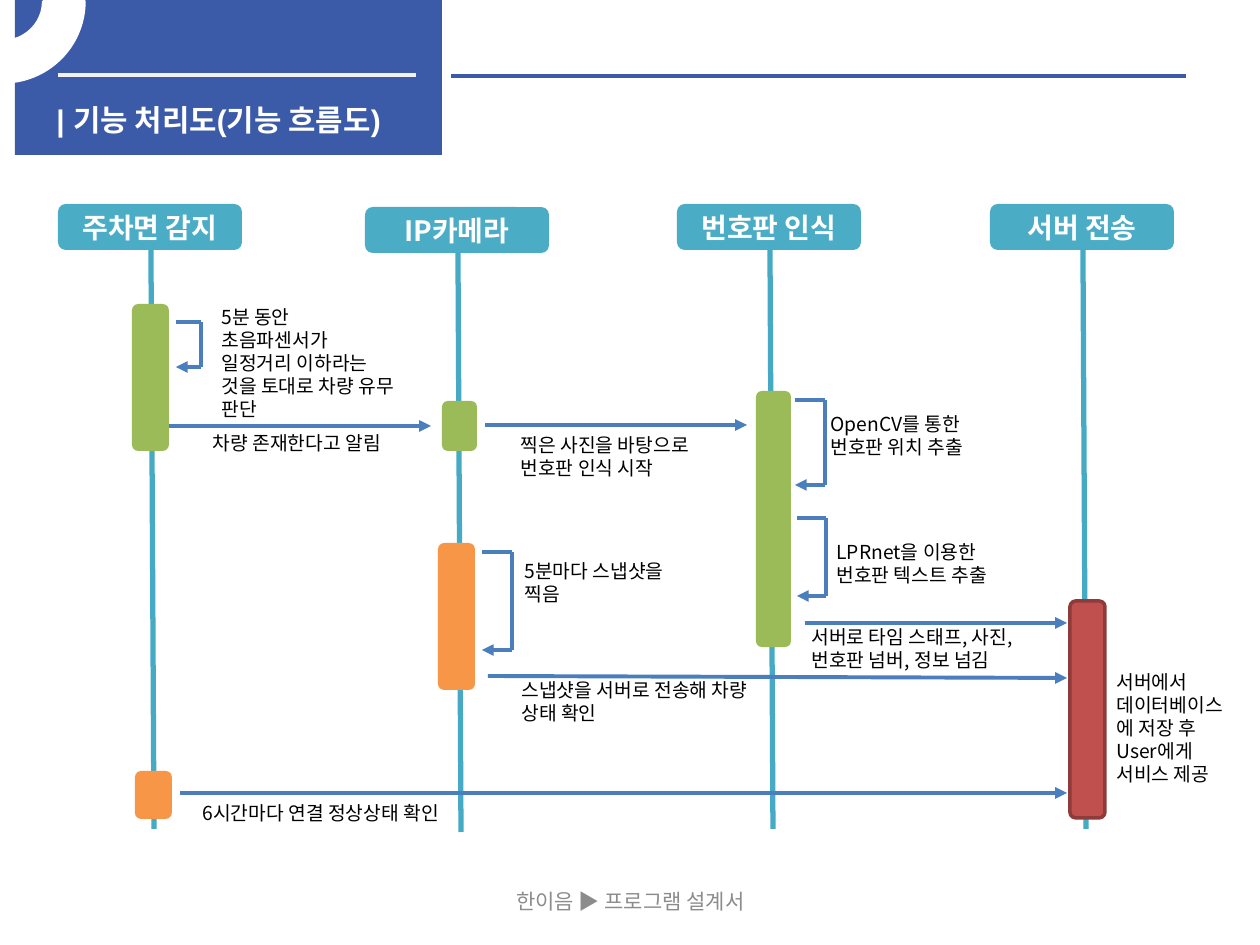
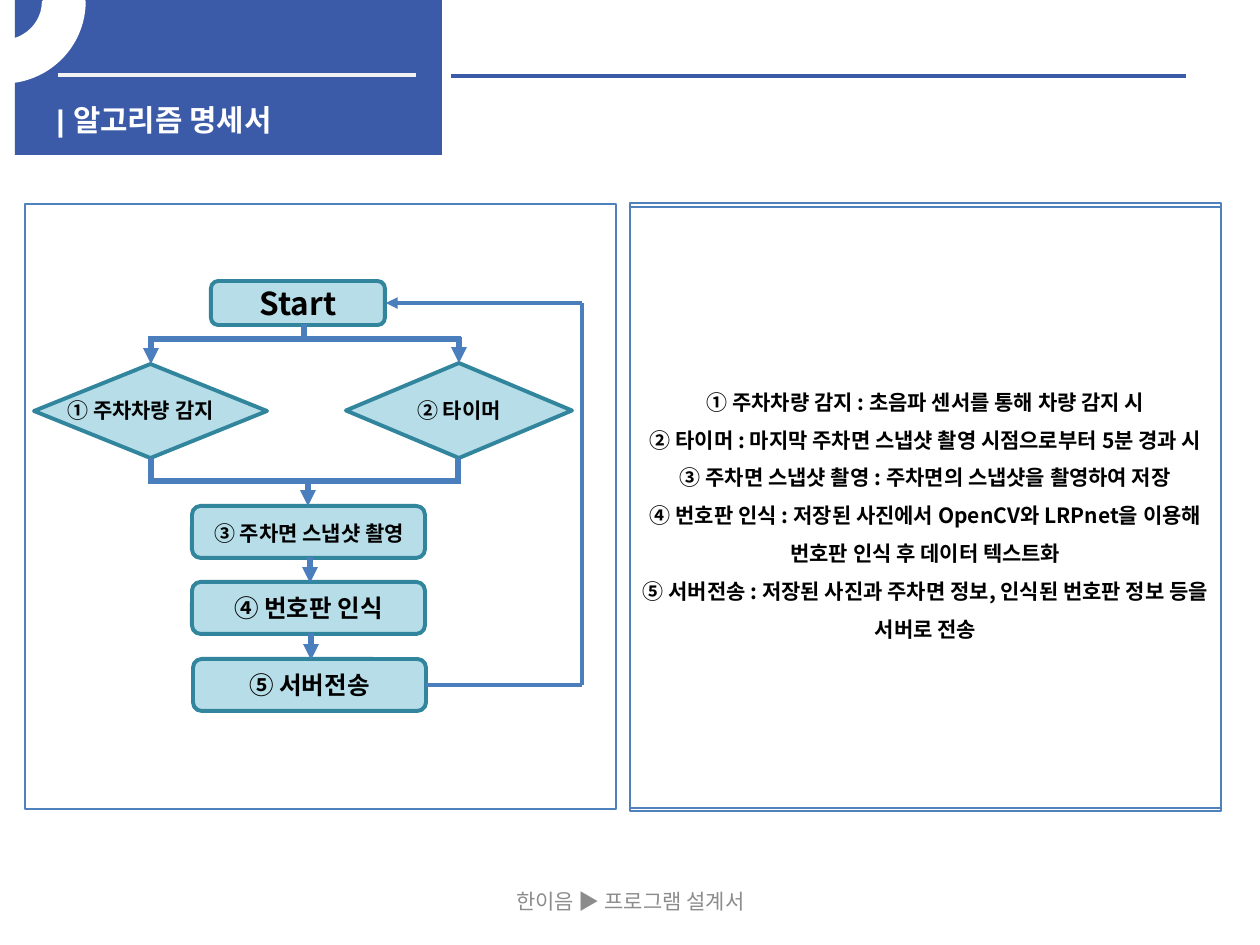
"""Builds a parking system's function flow slide and algorithm slide."""
import itertools
import pptx
import pptx.util
from lxml import etree
from pptx.dml.color import RGBColor
from pptx.enum.shapes import MSO_CONNECTOR, MSO_SHAPE
from pptx.enum.text import MSO_ANCHOR, MSO_AUTO_SIZE, PP_ALIGN
from pptx.oxml.ns import qn

PX = 914400 / 126
WHITE = RGBColor(0xFF, 0xFF, 0xFF)
BLACK = RGBColor(0, 0, 0)
NAVY = RGBColor(0x3B, 0x5A, 0xA8)
PALE_RULE = RGBColor(0xF2, 0xF2, 0xF2)
GREY = RGBColor(0x8C, 0x8C, 0x8C)
TEAL = RGBColor(0x4B, 0xAC, 0xC6)
LIFELINE = RGBColor(0x46, 0xAA, 0xC5)
FLOW = RGBColor(0x4B, 0x7E, 0xBC)
GREEN = RGBColor(0x9B, 0xBB, 0x59)
ORANGE = RGBColor(0xF7, 0x96, 0x46)
RED = RGBColor(0xC0, 0x50, 0x4D)
DARK_RED = RGBColor(0x8E, 0x3B, 0x39)
ICE = RGBColor(0xB7, 0xDE, 0xE8)
DEEP_TEAL = RGBColor(0x31, 0x85, 0x9C)
PANEL_EDGE = RGBColor(0x4F, 0x81, 0xBD)
KOREAN = "Noto Sans CJK KR"
LATIN = "Arial"

FOOTER = "한이음 ▶ 프로그램 설계서"
FLOW_TITLE = "| 기능 처리도(기능 흐름도)"
ALGORITHM_TITLE = "| 알고리즘 명세서"

LANES = [
    ("주차면 감지", 58, 204),
    ("IP카메라", 365, 207),
    ("번호판 인식", 677, 204),
    ("서버 전송", 990, 204),
]
ACTIVATIONS = [
    ((132, 304, 37, 147), GREEN, None),
    ((135, 771, 37, 48), ORANGE, None),
    ((442, 401, 35, 50), GREEN, None),
    ((438, 543, 37, 147), ORANGE, None),
    ((756, 391, 35, 256), GREEN, None),
    ((1070, 601, 35, 217), RED, DARK_RED),
]
SELF_CALLS = [
    (176, 322, 201, 367),
    (482, 552, 512, 650),
    (795, 400, 825, 485),
    (797, 518, 826, 596),
]
MESSAGES = [
    [(169, 426), (431, 426)],
    [(180, 793), (1067, 793)],
    [(488, 676), (1067, 678)],
    [(485, 425), (747, 425)],
    [(805, 623), (1067, 623)],
]
NOTES = [
    ("5분 동안 초음파센서가 일정거리 이하라는 것을 토대로 차량 유무 판단", (209, 299, 198, 106)),
    ("차량 존재한다고 알림", (200, 425, 220, 37)),
    ("6시간마다 연결 정상상태 확인", (190, 795, 262, 59)),
    ("5분마다 스냅샷을 찍음", (512, 553, 184, 59)),
    ("스냅샷을 서버로 전송해 차량 상태 확인", (509, 672, 262, 59)),
    ("찍은 사진을 바탕으로 번호판 인식 시작", (508, 427, 220, 59)),
    ("OpenCV를 통한 번호판 위치 추출", (818, 406, 184, 59)),
    ("LPRnet을 이용한 번호판 텍스트 추출", (824, 534, 209, 59)),
    ("서버로 타임 스태프, 사진, 번호판 넘버, 정보 넘김", (799, 619, 262, 59)),
    ("서버에서 데이터베이스에 저장 후 User에게 서비스 제공", (1104, 664, 134, 130)),
]

STEPS = [
    (MSO_SHAPE.FLOWCHART_ALTERNATE_PROCESS, (211, 281, 174, 44), "Start", 18),
    (MSO_SHAPE.FLOWCHART_DECISION, (34, 364, 233, 94), "", 12),
    (MSO_SHAPE.FLOWCHART_DECISION, (346, 363, 226, 95), "", 12),
    (MSO_SHAPE.ROUNDED_RECTANGLE, (192, 506, 233, 52), "", 12),
    (MSO_SHAPE.ROUNDED_RECTANGLE, (192, 582, 233, 52), "④ 번호판 인식", 14),
    (MSO_SHAPE.ROUNDED_RECTANGLE, (193, 659, 233, 52), "⑤ 서버전송", 14),
]
STEP_CAPTIONS = [
    ("① 주차차량 감지", 55, 391, PP_ALIGN.LEFT),
    ("② 타이머", 319, 391, PP_ALIGN.CENTER),
    ("③ 주차면 스냅샷 촬영", 169, 514, PP_ALIGN.CENTER),
]
BRANCHES = [
    ([(304, 324), (304, 338)], False),
    ([(461, 339), (148, 339)], False),
    ([(151, 337), (151, 364)], True),
    ([(459, 337), (459, 363)], True),
    ([(151, 458), (151, 484)], False),
    ([(458, 458), (458, 484)], False),
    ([(460, 481), (152, 481)], False),
    ([(308, 480), (308, 506)], True),
    ([(310, 557), (310, 583)], True),
    ([(311, 633), (311, 660)], True),
]
RETURN_LOOP = [(426, 685), (582, 685), (582, 303), (386, 303)]
PANELS = [(630, 203, 591, 605), (25, 204, 591, 605)]
SPECIFICATION_PANEL = (630, 207, 591, 604)
SPECIFICATION = [
    "① 주차차량 감지 : 초음파 센서를 통해 차량 감지 시",
    "② 타이머 : 마지막 주차면 스냅샷 촬영 시점으로부터 5분 경과 시",
    "③ 주차면 스냅샷 촬영 : 주차면의 스냅샷을 촬영하여 저장",
    "④ 번호판 인식 : 저장된 사진에서 OpenCV와 LRPnet을 이용해 번호판 인식 후 데이터 텍스트화",
    "⑤ 서버전송 : 저장된 사진과 주차면 정보, 인식된 번호판 정보 등을 서버로 전송",
]


def emu(*lengths):
    return [round(length * PX) for length in lengths]


def write(frame, lines, size, color, bold=False, align=PP_ALIGN.CENTER,
          anchor=MSO_ANCHOR.MIDDLE, font=KOREAN, spacing=None):
    frame.word_wrap = True
    frame.vertical_anchor = anchor
    frame.text = "\n".join(lines)
    for paragraph in frame.paragraphs:
        paragraph.alignment = align
        paragraph.line_spacing = spacing
        for run in paragraph.runs:
            run.font.size = pptx.util.Pt(size)
            run.font.bold = bold
            run.font.color.rgb = color
            run.font.name = font
            east_asian = etree.SubElement(run.font._element, qn("a:ea"))
            east_asian.set("typeface", KOREAN)


def add_box(slide, kind, place, fill=None, edge=None, width=2.25):
    box = slide.shapes.add_shape(kind, *emu(*place))
    box.shadow.inherit = False
    if fill is None:
        box.fill.background()
    else:
        box.fill.solid()
        box.fill.fore_color.rgb = fill
    if edge is None:
        box.line.fill.background()
    else:
        box.line.color.rgb = edge
        box.line.width = pptx.util.Pt(width)
    return box


def add_label(slide, text, place, size, color, grow=False, **style):
    label = slide.shapes.add_textbox(*emu(*place))
    write(label.text_frame, [text], size, color, **style)
    if grow:
        label.text_frame.auto_size = MSO_AUTO_SIZE.SHAPE_TO_FIT_TEXT


def add_route(slide, points, color=FLOW, width=2.25, arrow=False):
    for start, end in itertools.pairwise(points):
        leg = slide.shapes.add_connector(MSO_CONNECTOR.STRAIGHT, *emu(*start, *end))
        leg.line.color.rgb = color
        leg.line.width = pptx.util.Pt(width)
        etree.SubElement(leg._element.spPr, qn("a:effectLst"))
    if arrow:
        tip = etree.SubElement(leg.line._get_or_add_ln(), qn("a:tailEnd"))
        tip.set("type", "triangle")


def add_frame(deck, title):
    slide = deck.slides.add_slide(deck.slide_layouts[6])
    add_box(slide, MSO_SHAPE.RECTANGLE, (15, 0, 427, 155), NAVY)
    add_route(slide, [(58, 75), (416, 75)], PALE_RULE)
    add_route(slide, [(451, 76), (1186, 76)], NAVY)
    add_label(slide, title, (44, 96, 407, 38), 17, WHITE, bold=True,
              align=PP_ALIGN.LEFT, anchor=MSO_ANCHOR.TOP, font=LATIN)
    ring = add_box(slide, MSO_SHAPE.BLOCK_ARC, (-79, -79, 163, 161), WHITE, WHITE, 2)
    for index, value in enumerate((0, 54.41, 0.25)):
        ring.adjustments[index] = value
    add_label(slide, FOOTER, (431, 876, 399, 50), 12, GREY)
    return slide


def build_flow(deck):
    slide = add_frame(deck, FLOW_TITLE)
    for name, left, top in LANES:
        header = add_box(slide, MSO_SHAPE.ROUNDED_RECTANGLE, (left, top, 184, 46), TEAL)
        write(header.text_frame, [name], 16, WHITE, bold=True)
        add_route(slide, [(left + 93, top + 46), (left + 96, top + 625)], LIFELINE, 3)
    for place, fill, edge in ACTIVATIONS:
        add_box(slide, MSO_SHAPE.ROUNDED_RECTANGLE, place, fill, edge, 2)
    for left, top, right, bottom in SELF_CALLS:
        add_route(slide, [(left, top), (right, top), (right, bottom), (left, bottom)],
                  arrow=True)
    for message in MESSAGES:
        add_route(slide, message, arrow=True)
    for text, place in NOTES:
        add_label(slide, text, place, 11, BLACK, grow=True,
                  align=PP_ALIGN.LEFT, anchor=MSO_ANCHOR.TOP)


def build_algorithm(deck):
    slide = add_frame(deck, ALGORITHM_TITLE)
    for place in PANELS:
        add_box(slide, MSO_SHAPE.RECTANGLE, place, edge=PANEL_EDGE, width=0.75)
    panel = add_box(slide, MSO_SHAPE.RECTANGLE, SPECIFICATION_PANEL,
                    edge=PANEL_EDGE, width=0.75)
    write(panel.text_frame, SPECIFICATION, 12, BLACK, bold=True, spacing=1.5)
    for kind, place, text, size in STEPS:
        step = add_box(slide, kind, place, ICE, DEEP_TEAL)
        if text:
            write(step.text_frame, [text], size, BLACK, bold=True)
    for points, arrow in BRANCHES:
        add_route(slide, points, width=3, arrow=arrow)
    add_route(slide, RETURN_LOOP, arrow=True)
    for text, left, top, align in STEP_CAPTIONS:
        add_label(slide, text, (left, top, 280, 63), 12, BLACK, bold=True,
                  align=align, anchor=MSO_ANCHOR.TOP)


def main():
    deck = pptx.Presentation()
    deck.slide_width, deck.slide_height = emu(1260, 945)
    build_flow(deck)
    build_algorithm(deck)
    deck.save("out.pptx")


if __name__ == "__main__":
    main()
